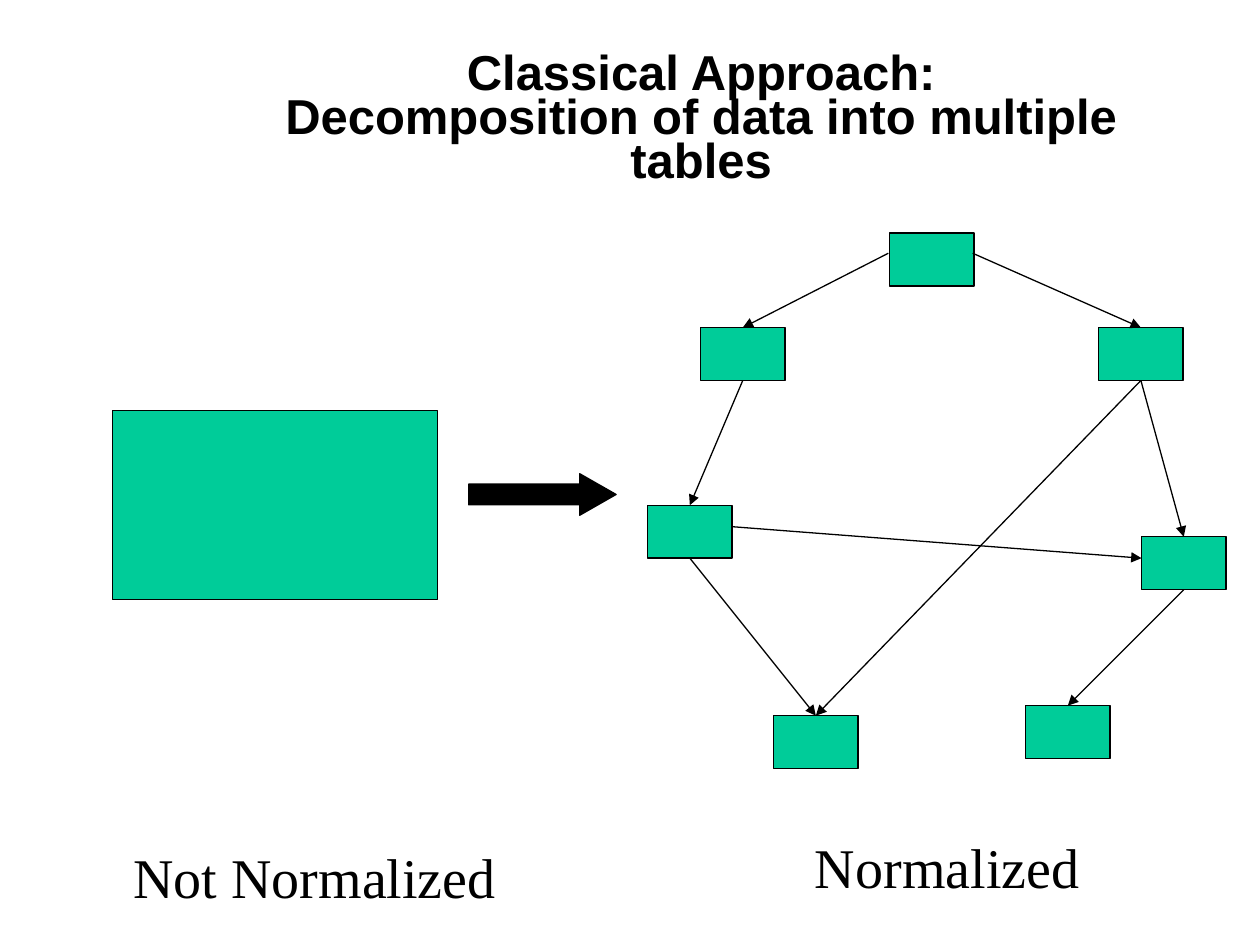
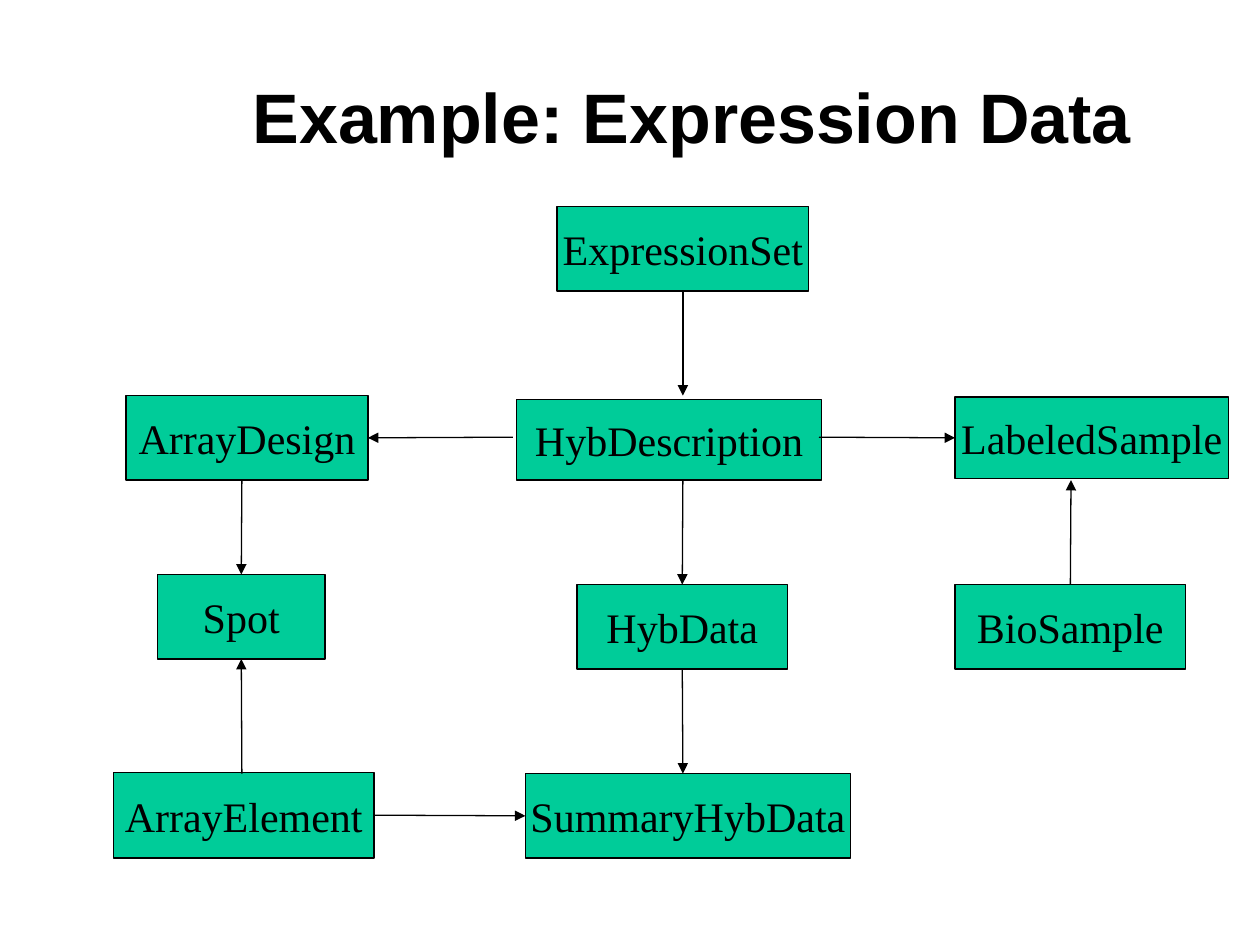
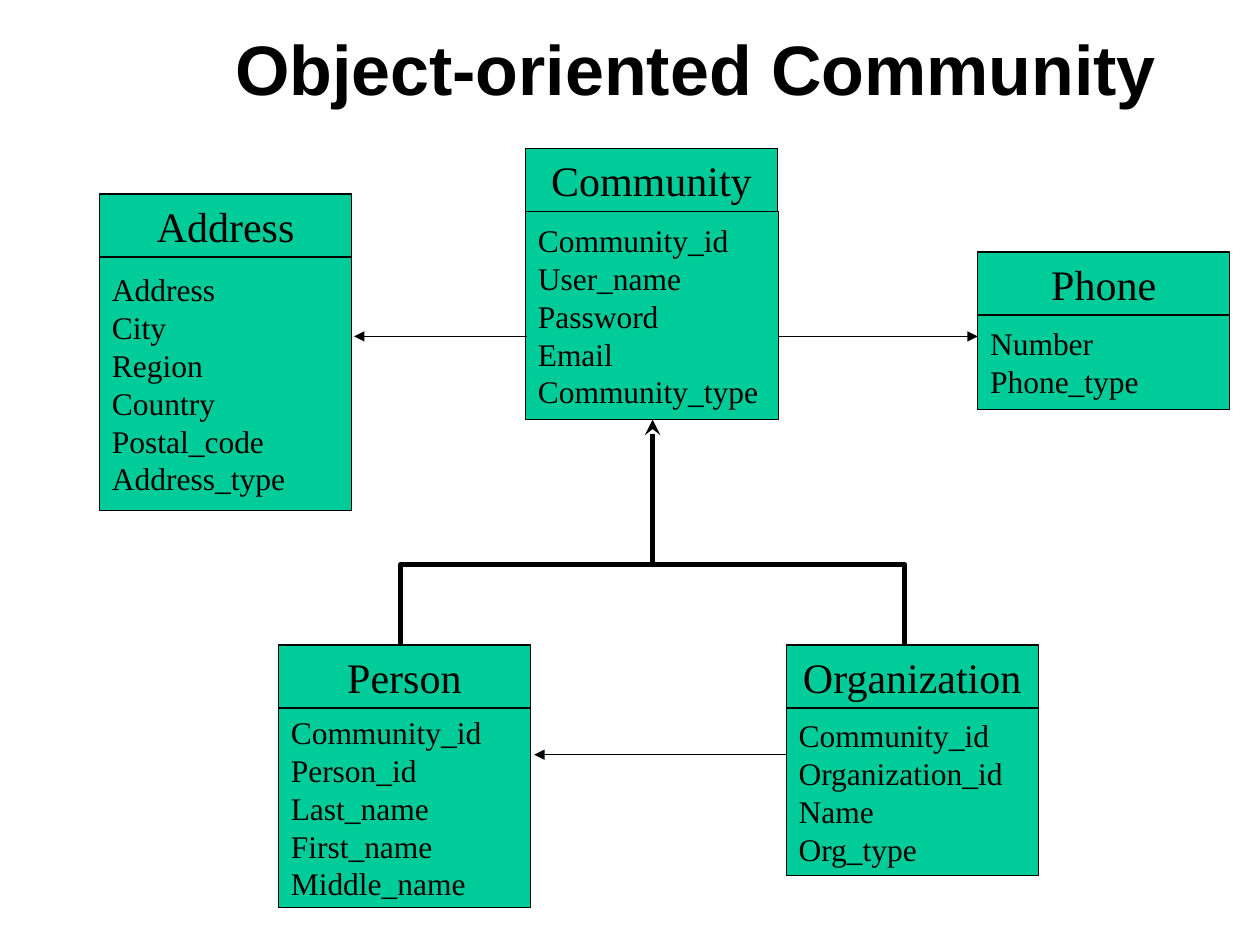
"""Build three slides on data normalization and object-oriented tables."""
import pptx
import pptx.util
import pptx.dml.color
import pptx.enum.shapes
import pptx.enum.text
import pptx.oxml
import pptx.oxml.ns

PX = 9144
COLORS = {"ink": "000000", "box": "00CC99"}
SERIF, SANS = "Times New Roman", "Arial"
TOP, LEFT, BOTTOM, RIGHT = range(4)
NODE_W, NODE_H = 67, 42
TABLE_W, HEADER_H = 200, 50
SHAPE = pptx.enum.shapes.MSO_SHAPE
ALIGN = pptx.enum.text.PP_ALIGN
AUTO_SIZE = pptx.enum.text.MSO_AUTO_SIZE
MIDDLE = pptx.enum.text.MSO_ANCHOR.MIDDLE


def px(*lengths):
    """Turn px lengths into EMU."""
    return [length * PX for length in lengths]


def rgb(name):
    """Look up a colour by name."""
    return pptx.dml.color.RGBColor.from_string(COLORS[name])


def set_font(p, name, size, bold=False):
    """Set the font of a paragraph."""
    p.font.name = name
    p.font.size = pptx.util.Pt(size)
    p.font.bold = bold
    p.font.color.rgb = rgb("ink")


def set_line(shape, width=0.75, arrow=None):
    """Draw a black line, with an arrowhead at its end if one is named."""
    shape.line.color.rgb = rgb("ink")
    shape.line.width = pptx.util.Pt(width)
    if arrow:
        ln = shape._element.spPr.find(pptx.oxml.ns.qn("a:ln"))
        ln.append(pptx.oxml.parse_xml(
            f'<a:tailEnd {pptx.oxml.ns.nsdecls("a")} type="{arrow}"/>'))


def add_slide(prs, title, box, size):
    """Add a title-only slide with a formatted title."""
    s = prs.slides.add_slide(prs.slide_layouts[5])
    sp = s.shapes.title
    sp.left, sp.top, sp.width, sp.height = px(*box)
    tf = sp.text_frame
    tf.text = title
    tf.word_wrap = True
    tf.auto_size = AUTO_SIZE.NONE
    tf.vertical_anchor = MIDDLE
    p = tf.paragraphs[0]
    p.alignment = ALIGN.CENTER
    p.line_spacing = 0.75
    set_font(p, SANS, size, bold=True)
    return s


def add_box(s, x, y, w, h, text="", size=24, align=ALIGN.CENTER,
            kind=SHAPE.RECTANGLE, fill="box"):
    """Add a filled, outlined shape with optional lines of text."""
    sp = s.shapes.add_shape(kind, *px(x, y, w, h))
    sp.shadow.inherit = False
    sp.fill.solid()
    sp.fill.fore_color.rgb = rgb(fill)
    set_line(sp)
    if text:
        tf = sp.text_frame
        tf.text = text
        tf.word_wrap = False
        tf.vertical_anchor = MIDDLE
        for p in tf.paragraphs:
            p.alignment = align
            set_font(p, SERIF, size)
    return sp


def add_label(s, x, y, w, h, text):
    """Add a large caption."""
    tf = s.shapes.add_textbox(*px(x, y, w, h)).text_frame
    tf.text = text
    tf.word_wrap = False
    tf.auto_size = AUTO_SIZE.SHAPE_TO_FIT_TEXT
    set_font(tf.paragraphs[0], SERIF, 32)


def add_arrow(s, start, end):
    """Add an arrow between ends given as (x, y) or (shape, side)."""
    c = s.shapes.add_connector(pptx.enum.shapes.MSO_CONNECTOR.STRAIGHT, 0, 0, 0, 0)
    if isinstance(start[0], int):
        c.begin_x, c.begin_y = px(*start)
    else:
        c.begin_connect(*start)
    if isinstance(end[0], int):
        c.end_x, c.end_y = px(*end)
    else:
        c.end_connect(*end)
    set_line(c, arrow="triangle")
    c._element.spPr.append(pptx.oxml.parse_xml(
        f'<a:effectLst {pptx.oxml.ns.nsdecls("a")}/>'))


def add_path(s, points, arrow=None):
    """Add a thick open path through the points."""
    builder = s.shapes.build_freeform(*points[0], scale=PX)
    builder.add_line_segments(points[1:], close=False)
    sp = builder.convert_to_shape()
    sp.shadow.inherit = False
    sp.fill.background()
    set_line(sp, 3, arrow)


def add_entity(s, x, y, name, fields, body_h, body_w=TABLE_W):
    """Add a named box with its list of fields below."""
    add_box(s, x, y, TABLE_W, HEADER_H, name)
    add_box(s, x, y + HEADER_H, body_w, body_h, "\n".join(fields), 18, ALIGN.LEFT)


def build_decomposition(prs):
    """Show one large table split into linked small ones."""
    s = add_slide(prs, "Classical Approach:\vDecomposition of data into multiple tables",
                  (160, 35, 793, 122), 28)
    add_box(s, 89, 326, 258, 150)
    arrow = add_box(s, 372, 376, 117, 33, kind=SHAPE.RIGHT_ARROW, fill="ink")
    arrow.adjustments[1] = 0.875
    add_label(s, 96, 664, 308, 64, "Not Normalized")
    places = {"upper left": (556, 260), "root": (706, 185), "middle left": (514, 401),
              "lower left": (614, 568), "middle right": (906, 426),
              "upper right": (872, 260), "lower right": (814, 560)}
    nodes = {name: add_box(s, *place, NODE_W, NODE_H) for name, place in places.items()}
    for parent, child in [("upper left", "middle left"), ("middle left", "lower left"),
                          ("upper right", "middle right"),
                          ("middle right", "lower right"), ("upper right", "lower left")]:
        add_arrow(s, (nodes[parent], BOTTOM), (nodes[child], TOP))
    add_arrow(s, (581, 418), (906, 443))
    add_arrow(s, (705, 201), (nodes["upper left"], TOP))
    add_arrow(s, (772, 201), (nodes["upper right"], TOP))
    add_label(s, 637, 656, 230, 64, "Normalized")


def build_expression(prs):
    """Show the tables that hold expression data."""
    s = add_slide(prs, "Example: Expression Data", (153, 43, 792, 112), 40)
    places = {"ExpressionSet": (442, 164, 200, 67), "ArrayDesign": (100, 314, 192, 67),
              "HybData": (458, 464, 167, 67), "HybDescription": (410, 317, 242, 64),
              "BioSample": (758, 464, 183, 67), "LabeledSample": (758, 315, 217, 65),
              "Spot": (125, 456, 133, 67), "ArrayElement": (90, 613, 207, 68),
              "SummaryHybData": (417, 614, 258, 67)}
    boxes = {name: add_box(s, *place, name) for name, place in places.items()}
    for start, end in [
            ((boxes["ExpressionSet"], BOTTOM), (542, 314)),
            ((650, 347), (boxes["LabeledSample"], LEFT)),
            ((boxes["BioSample"], TOP), (850, 381)),
            ((542, 381), (boxes["HybData"], TOP)),
            ((407, 347), (boxes["ArrayDesign"], RIGHT)),
            ((192, 381), (boxes["Spot"], TOP)),
            ((192, 614), (boxes["Spot"], BOTTOM)),
            ((boxes["HybData"], BOTTOM), (542, 614)),
            ((boxes["ArrayElement"], RIGHT), (boxes["SummaryHybData"], LEFT))]:
        add_arrow(s, start, end)


def build_community(prs):
    """Show the community classes, their fields and their links."""
    s = add_slide(prs, "Object-oriented Community", (154, 8, 796, 106), 40)
    add_entity(s, 417, 118, "Community", ["Community_id", "User_name", "Password",
                                          "Email", "Community_type"], 165, 201)
    add_entity(s, 79, 154, "Address", ["Address", "City", "Region", "Country",
                                       "Postal_code", "Address_type"], 201)
    add_entity(s, 776, 200, "Phone", ["Number", "Phone_type"], 75)
    add_entity(s, 624, 512, "Organization", ["Community_id", "Organization_id",
                                             "Name", "Org_type"], 133)
    add_entity(s, 221, 512, "Person", ["Community_id", "Person_id", "Last_name",
                                       "First_name", "Middle_name"], 158)
    add_arrow(s, (418, 267), (281, 267))
    add_arrow(s, (618, 267), (776, 267))
    add_arrow(s, (624, 599), (424, 599))
    add_path(s, [(318, 512), (318, 448), (518, 448), (518, 333)], "stealth")
    add_path(s, [(718, 512), (718, 448), (518, 448)])


def main():
    """Build and save the presentation."""
    prs = pptx.Presentation()
    prs.slide_width, prs.slide_height = px(1000, 750)
    build_decomposition(prs)
    build_expression(prs)
    build_community(prs)
    prs.save("out.pptx")


if __name__ == "__main__":
    main()
